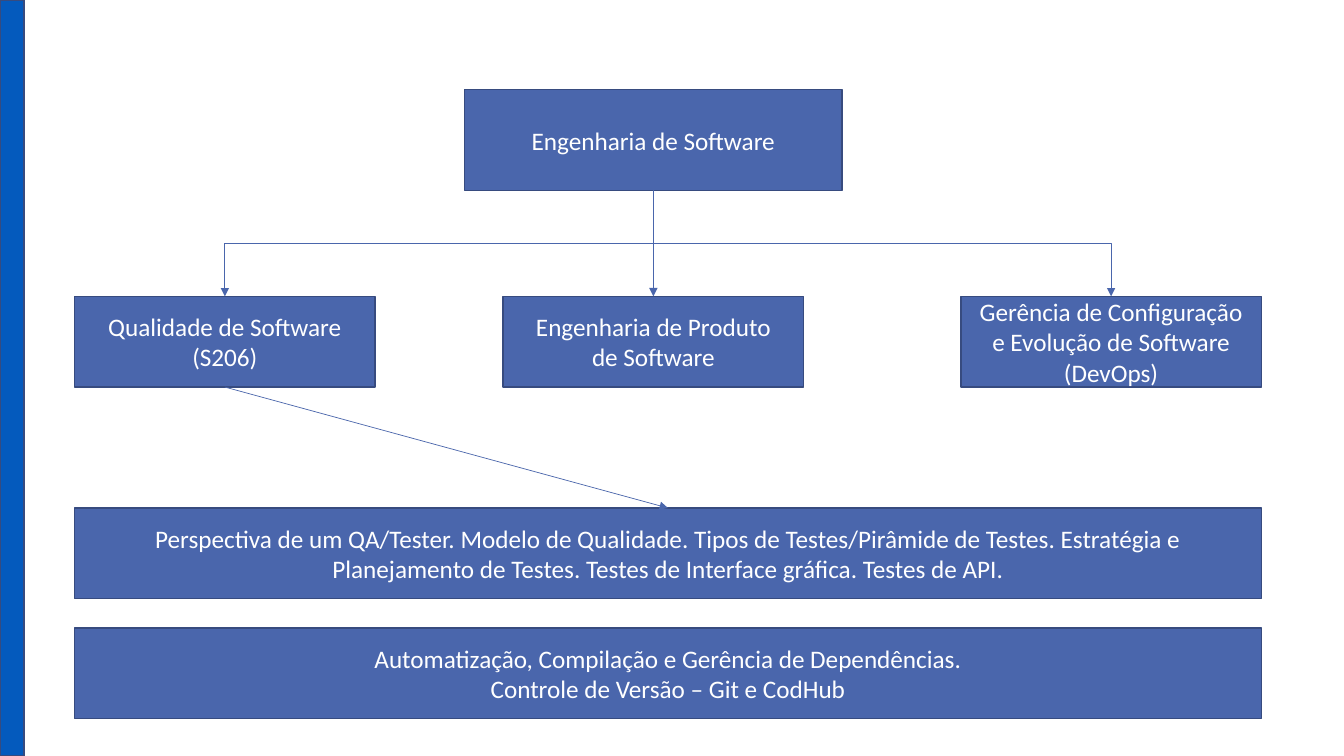
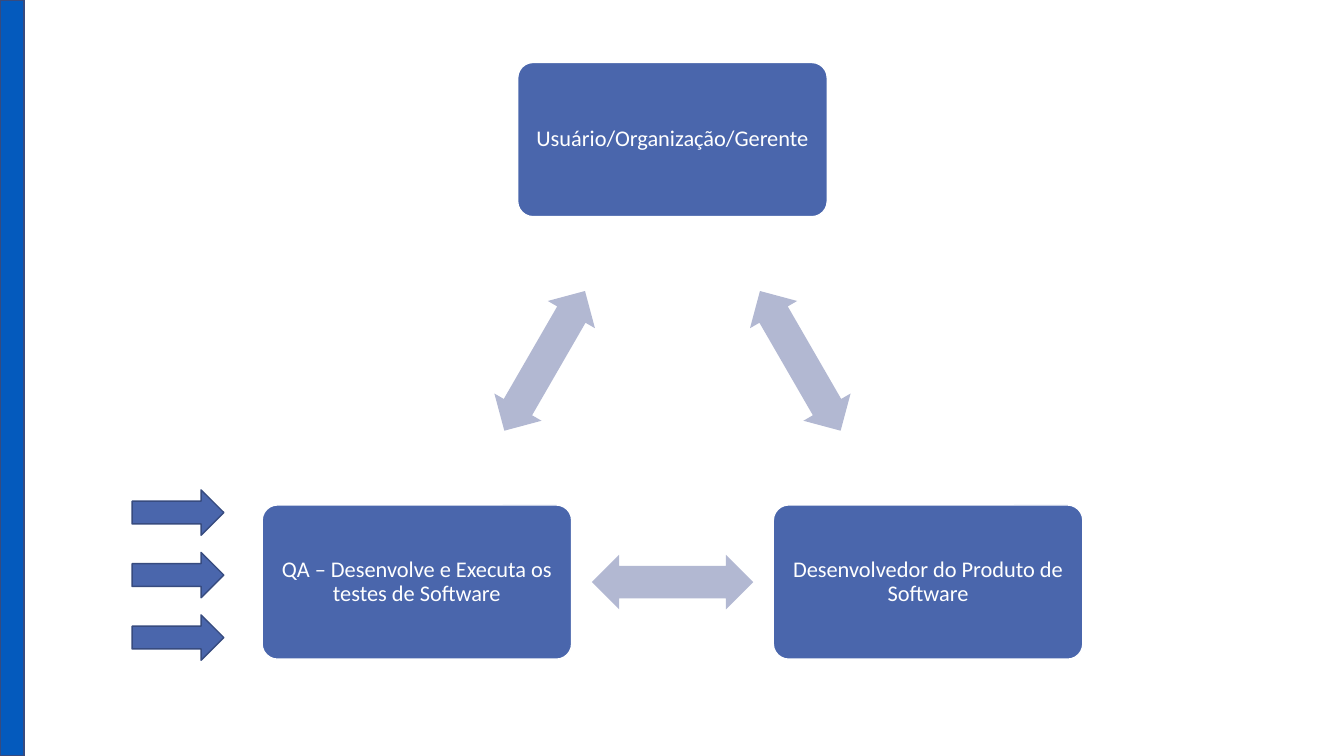
from dataclasses import dataclass
from math import atan2, degrees

from lxml.etree import SubElement
from pptx import Presentation
from pptx.dml.color import RGBColor
from pptx.enum.shapes import MSO_CONNECTOR, MSO_SHAPE
from pptx.enum.text import MSO_ANCHOR, PP_ALIGN
from pptx.oxml.ns import qn
from pptx.util import Inches, Pt


@dataclass(frozen=True)
class Theme:
    font: str = "Calibri"
    box_size: int = 18
    cycle_size: int = 16
    sidebar: str = "045ABD"
    accent: str = "4A66AC"
    edge: str = "374B7F"
    pale: str = "B2B8D2"
    white: str = "FFFFFF"
    edge_width: float = 1
    line_width: float = 0.5


T = Theme()
SLIDE_W, SLIDE_H = 13.33, 7.5


def add_block(s, kind, box, fill=T.accent, line=T.edge):
    """Add a filled preset shape; box is left, top, width, height in inches."""
    sp = s.shapes.add_shape(kind, *[Inches(v) for v in box])
    sp.shadow.inherit = False
    sp.fill.solid()
    sp.fill.fore_color.rgb = RGBColor.from_string(fill)
    if line:
        sp.line.color.rgb = RGBColor.from_string(line)
        sp.line.width = Pt(T.edge_width)
    else:
        sp.line.fill.background()
    return sp


def add_label(sp, text, size, inset=None, spacing=None):
    """Write centred white text in a shape, one run per line."""
    tf = sp.text_frame
    tf.word_wrap = True
    tf.vertical_anchor = MSO_ANCHOR.MIDDLE
    if inset is not None:
        tf.margin_left = tf.margin_right = Inches(inset)
        tf.margin_top = tf.margin_bottom = Inches(inset)
    p = tf.paragraphs[0]
    p.alignment = PP_ALIGN.CENTER
    if spacing:
        p.line_spacing = spacing
    for i, line in enumerate(text.split("\n")):
        if i:
            p.add_line_break()
        r = p.add_run()
        r.text = line
        r.font.name = T.font
        r.font.size = Pt(size)
        r.font.color.rgb = RGBColor.from_string(T.white)


def add_text_box(s, box, text):
    sp = add_block(s, MSO_SHAPE.RECTANGLE, box)
    add_label(sp, text, T.box_size)
    return sp


def link(s, upper, lower):
    """Arrow from the bottom of one box to the top of another; returns it."""
    cxn = s.shapes.add_connector(MSO_CONNECTOR.STRAIGHT, 0, 0, 0, 0)
    style_arrow(cxn)
    cxn.begin_connect(upper, 2)
    cxn.end_connect(lower, 0)
    return cxn


def style_arrow(cxn):
    cxn.line.color.rgb = RGBColor.from_string(T.accent)
    cxn.line.width = Pt(T.line_width)
    SubElement(cxn.line._get_or_add_ln(), qn("a:tailEnd"), type="triangle")
    SubElement(cxn._element.spPr, qn("a:effectLst"))


def elbow(s, upper, lower):
    """Bent arrow that leaves downwards, runs across and ends downwards."""
    x1, y1 = upper.left + upper.width // 2, upper.top + upper.height
    x2, y2 = lower.left + lower.width // 2, lower.top
    cxn = s.shapes.add_connector(MSO_CONNECTOR.ELBOW, x1, y1, x2, y2)
    style_arrow(cxn)
    cxn.begin_connect(upper, 2)
    cxn.end_connect(lower, 0)
    # Turn the horizontal elbow a quarter, about the same centre
    w, h = y2 - y1, abs(x2 - x1)
    cxn.left, cxn.top = (x1 + x2 - w) // 2, (y1 + y2 - h) // 2
    cxn.width, cxn.height = w, h
    xfrm = cxn._element.spPr.find(qn("a:xfrm"))
    rightwards = x2 > x1
    xfrm.set("rot", str((270 if rightwards else 90) * 60000))
    xfrm.set("flipH", "1" if rightwards else "0")


def new_slide(prs):
    s = prs.slides.add_slide(prs.slide_layouts[6])
    add_block(s, MSO_SHAPE.RECTANGLE, (0, 0, 0.24, SLIDE_H), T.sidebar)
    return s


def course_tree(s, box):
    """Root, three courses and two topic bars."""
    left, top, width, height = box
    course_w, row_h = 2.98, 0.9
    root = add_text_box(s, (left + 3.87, top, 3.74, 1), "Engenharia de Software")

    # Courses
    courses = [
        (0, "Qualidade de Software (S206)"),
        (4.25, "Engenharia de Produto\nde Software"),
        (width - course_w,
         "Gerência de Configuração e Evolução de Software (DevOps)"),
    ]
    quality, product, devops = [
        add_text_box(s, (left + dx, top + 2.05, course_w, row_h), text)
        for dx, text in courses
    ]
    elbow(s, root, quality)
    link(s, root, product)
    elbow(s, root, devops)

    # Topic bars
    topics = [
        "Perspectiva de um QA/Tester. Modelo de Qualidade. Tipos de "
        "Testes/Pirâmide de Testes. Estratégia e Planejamento de Testes. "
        "Testes de Interface gráfica. Testes de API.",
        "Automatização, Compilação e Gerência de Dependências.\n"
        "Controle de Versão – Git e CodHub",
    ]
    step, first = 1.19, top + height - row_h - 1.19
    bars = [add_text_box(s, (left, first + i * step, width, row_h), text)
            for i, text in enumerate(topics)]
    link(s, quality, bars[0])


def role_cycle(s, box):
    """Three roles at the corners of a triangle, with arrows between them."""
    left, top, width, height = box
    role_w, role_h, arrow_w, arrow_h = 3.07, 1.53, 1.6, 0.54
    low = top + height - role_h / 2
    roles = [
        (left + width / 2, top + role_h / 2, "Usuário/Organização/Gerente"),
        (left + width - role_w / 2, low, "Desenvolvedor do Produto de Software"),
        (left + role_w / 2, low,
         "QA – Desenvolve e Executa os testes de Software"),
    ]
    for i, (x, y, text) in enumerate(roles):
        sp = add_block(s, MSO_SHAPE.ROUNDED_RECTANGLE,
                       (x - role_w / 2, y - role_h / 2, role_w, role_h),
                       line=T.white)
        sp.adjustments[0] = 0.1
        add_label(sp, text, T.cycle_size, inset=0.12, spacing=0.9)

        # Arrow halfway to the next role
        nx, ny, _ = roles[(i + 1) % len(roles)]
        arrow = add_block(s, MSO_SHAPE.LEFT_RIGHT_ARROW,
                          ((x + nx - arrow_w) / 2, (y + ny - arrow_h) / 2,
                           arrow_w, arrow_h), T.pale, None)
        arrow.adjustments[0], arrow.adjustments[1] = 0.6, 0.5
        arrow.rotation = degrees(atan2(ny - y, nx - x)) % 360


def input_arrows(s, box, count=3):
    """Equal stack of arrows that fills the box."""
    left, top, width, height = box
    arrow_h = 0.45
    step = (height - arrow_h) / (count - 1)
    for i in range(count):
        add_block(s, MSO_SHAPE.RIGHT_ARROW,
                  (left, top + i * step, width, arrow_h))


def main():
    prs = Presentation()
    prs.slide_width, prs.slide_height = Inches(SLIDE_W), Inches(SLIDE_H)
    course_tree(new_slide(prs), (0.74, 0.89, 11.77, 6.24))
    s = new_slide(prs)
    role_cycle(s, (2.6, 0.62, 8.14, 5.92))
    input_arrows(s, (1.31, 4.86, 0.91, 1.69))
    prs.save("out.pptx")


if __name__ == "__main__":
    main()
